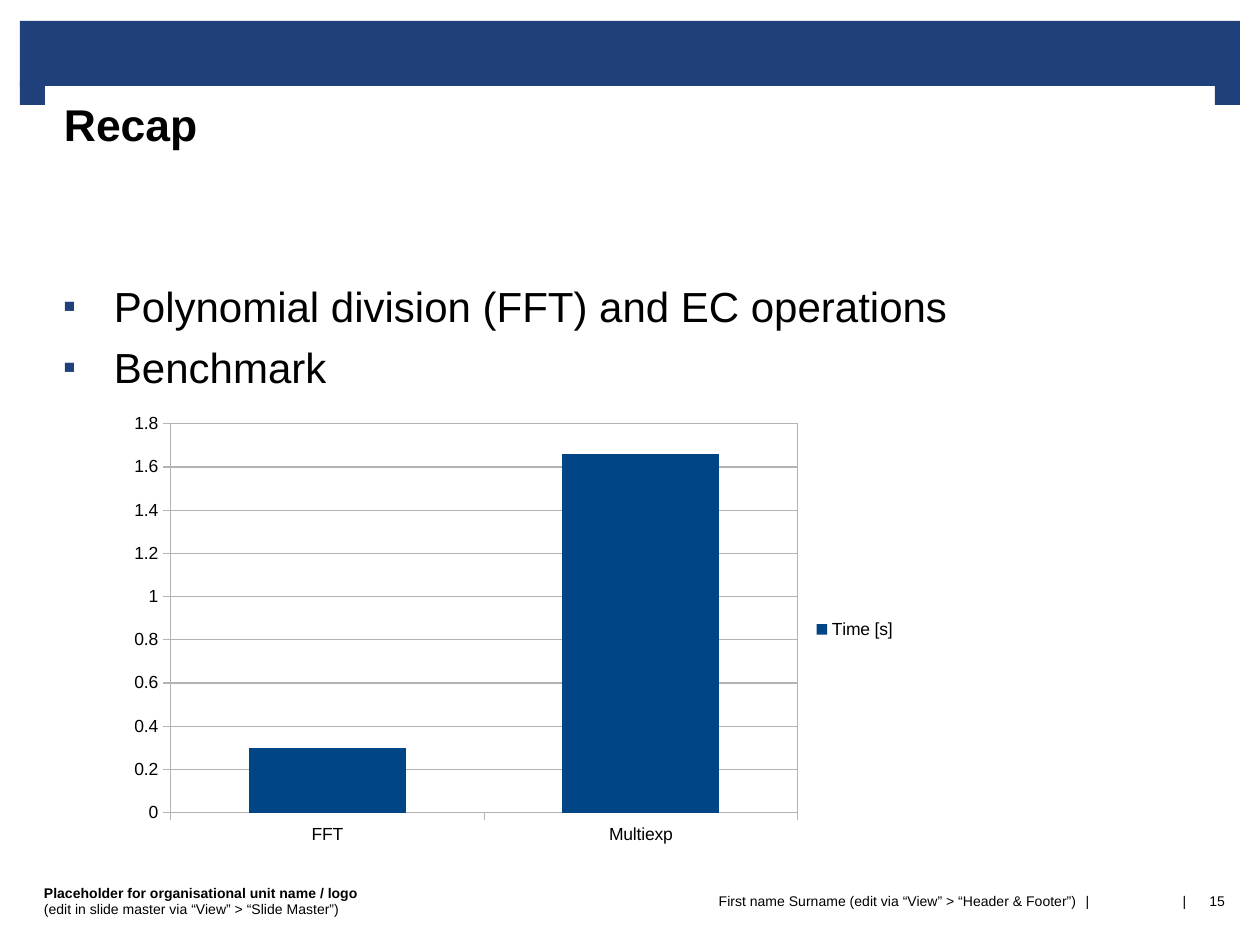
from lxml import etree
from pptx import Presentation, util as u
from pptx.chart import data as chart_data
from pptx.dml.color import RGBColor
from pptx.enum import chart as ch, shapes, text
from pptx.oxml import ns

PX = 914400 / 126
BLUE = RGBColor(0x1F, 0x40, 0x7A)
BAR = RGBColor(0x00, 0x45, 0x86)
GREY = RGBColor(0xB3, 0xB3, 0xB3)
BLACK = RGBColor(0, 0, 0)
LEFT, CENTER, RIGHT = text.PP_ALIGN.LEFT, text.PP_ALIGN.CENTER, text.PP_ALIGN.RIGHT
TOP, MIDDLE = text.MSO_ANCHOR.TOP, text.MSO_ANCHOR.MIDDLE


def px(*lengths):
    """Turn px lengths into EMU."""
    return [u.Emu(round(length * PX)) for length in lengths]


def apply(target, **values):
    """Set attributes of an object from format values."""
    for name, value in values.items():
        setattr(target, name, value)


def style(font, size, bold=False):
    """Give a font the slide's typeface and colour."""
    apply(font, name="Arial", size=u.Pt(size), bold=bold)
    font.color.rgb = BLACK


def sub(parent, tag, **attributes):
    """Append an XML element with the given attributes."""
    return etree.SubElement(parent, ns.qn(tag), attributes)


def add_frame(slide, box, insets=(0, 0, 0, 0), anchor=MIDDLE):
    """Add a wrapping text box and return its text frame."""
    frame = slide.shapes.add_textbox(*px(*box)).text_frame
    left, top, right, bottom = px(*insets)
    apply(frame, word_wrap=True, vertical_anchor=anchor, margin_left=left,
          margin_top=top, margin_right=right, margin_bottom=bottom)
    return frame


def add_line(slide, box, words, size, align=LEFT, bold=False, **frame_format):
    """Add a text box that holds one line."""
    paragraph = add_frame(slide, box, **frame_format).paragraphs[0]
    paragraph.alignment = align
    run = paragraph.add_run()
    run.text = words
    style(run.font, size, bold)


def add_banner(slide, box):
    """Draw the top band with a tab hanging from each end."""
    left, top, width, height = box
    tab_width, tab_top, tab_height = 25, top + 61, 23
    tab_lefts = (left, left + width - tab_width)
    tabs = [(tab_left, tab_top, tab_width, tab_height) for tab_left in tab_lefts]
    for part in [(left, top, width, height - 19), *tabs]:
        band = slide.shapes.add_shape(shapes.MSO_SHAPE.RECTANGLE, *px(*part))
        band.shadow.inherit = False
        band.fill.solid()
        band.fill.fore_color.rgb = BLUE
        band.line.fill.background()


def add_bullets(slide, box, topics):
    """List the topics with small square bullets."""
    frame = add_frame(slide, box, insets=(20, 5, 20, 0), anchor=TOP)
    indent = px(50)[0]
    for index, topic in enumerate(topics):
        paragraph = frame.add_paragraph() if index else frame.paragraphs[0]
        properties = paragraph._p.get_or_add_pPr()
        apply_indent = {"marL": str(indent), "indent": str(-indent)}
        for name, value in apply_indent.items():
            properties.set(name, value)
        sub(sub(properties, "a:buClr"), "a:srgbClr", val=str(BLUE))
        sub(properties, "a:buSzPct", val="45000")
        sub(properties, "a:buFont", typeface="Arial")
        sub(properties, "a:buChar", char="■")
        paragraph.space_before = u.Pt(6 if index else 0)
        run = paragraph.add_run()
        run.text = topic
        style(run.font, 24)


def lay_out_plot(chart, **fractions):
    """Fix the inner plot area and outline it in grey."""
    plot_area = chart._chartSpace.chart.plotArea
    for old in plot_area.findall(ns.qn("c:layout")):
        plot_area.remove(old)
    layout = etree.Element(ns.qn("c:layout"))
    manual = sub(layout, "c:manualLayout")
    sub(manual, "c:layoutTarget", val="inner")
    for mode in ("c:xMode", "c:yMode"):
        sub(manual, mode, val="edge")
    for name, fraction in fractions.items():
        sub(manual, f"c:{name}", val=str(fraction))
    plot_area.insert(0, layout)
    outline = sub(plot_area, "c:spPr")
    sub(outline, "a:noFill")
    fill = sub(sub(outline, "a:ln", w="0"), "a:solidFill")
    sub(fill, "a:srgbClr", val=str(GREY))


def add_benchmark(slide, box):
    """Chart the time of each operation in seconds."""
    times = chart_data.CategoryChartData()
    times.categories = ["FFT", "Multiexp"]
    times.add_series("Time [s]", (0.3, 1.66))
    chart = slide.shapes.add_chart(
        ch.XL_CHART_TYPE.COLUMN_CLUSTERED, *px(*box), times).chart
    apply(chart, has_title=False, has_legend=True)
    apply(chart.legend, position=ch.XL_LEGEND_POSITION.RIGHT, include_in_layout=False)
    time_axis = chart.value_axis
    apply(time_axis, minimum_scale=0, maximum_scale=1.8, major_unit=0.2)
    apply(time_axis.tick_labels, number_format="General", number_format_is_linked=False)
    for axis in (chart.category_axis, time_axis):
        axis.major_tick_mark = ch.XL_TICK_MARK.OUTSIDE
        style(axis.tick_labels.font, 10)
    for font in (chart.font, chart.legend.font):
        style(font, 10)
    for line in (chart.category_axis.format.line, time_axis.format.line,
                 time_axis.major_gridlines.format.line):
        line.color.rgb = GREY
        line.width = u.Pt(0)
    bars = chart.plots[0]
    apply(bars, gap_width=100, vary_by_categories=False)
    fill = bars.series[0].format.fill
    fill.solid()
    fill.fore_color.rgb = BAR
    lay_out_plot(chart, x=0.07, y=0.04, w=0.79, h=0.87)


def add_footer(slide, box):
    """Place the unit name, author, separators and page number."""
    left, top, width, height = box
    unit = add_frame(slide, (left, top, 530, height)).paragraphs[0]
    name = unit.add_run()
    name.text = "Placeholder for organisational unit name / logo"
    style(name.font, 8, bold=True)
    unit.add_line_break()
    hint = unit.add_run()
    hint.text = "(edit in slide master via “View” > “Slide Master”)"
    style(hint.font, 8)
    add_line(slide, (left + 532, top, 506, height),
             "First name Surname (edit via “View” > “Header & Footer”)",
             8, RIGHT, insets=(0, 0, 5, 0))
    for separator_left in (1037, 1134):
        add_line(slide, (left + separator_left, top, 13, height), "|", 8, CENTER)
    add_line(slide, (left + width - 25, top, 25, height), "15", 8, RIGHT)


def main():
    """Build the recap slide."""
    deck = Presentation()
    deck.slide_width, deck.slide_height = px(1260, 945)
    slide = deck.slides.add_slide(deck.slide_layouts[6])
    add_banner(slide, (20, 21, 1220, 84))
    add_line(slide, (44, 86, 1171, 134), "Recap", 25.4, bold=True,
             insets=(20, 11, 20, 0), anchor=TOP)
    add_bullets(slide, (44, 276, 1171, 581),
                ["Polynomial division (FFT) and EC operations", "Benchmark"])
    add_benchmark(slide, (115, 406, 794, 447))
    add_footer(slide, (44, 869, 1181, 64))
    deck.save("out.pptx")


if __name__ == "__main__":
    main()
